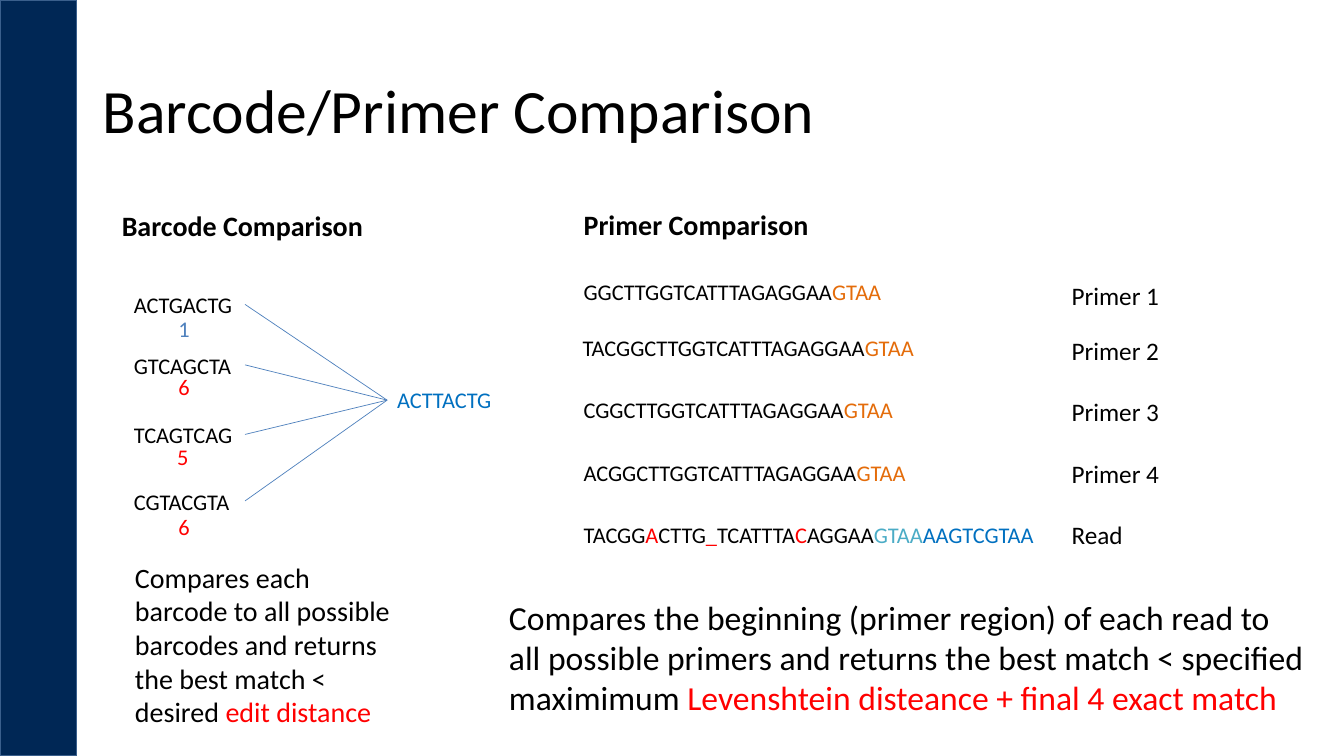
from lxml import etree
from pptx import Presentation
from pptx.dml.color import RGBColor
from pptx.enum import shapes, text
from pptx.oxml.ns import qn
from pptx.util import Inches, Pt

NAVY = RGBColor(0x00, 0x27, 0x55)
EDGE = RGBColor(0x3A, 0x5F, 0x8C)
BLACK = RGBColor(0x00, 0x00, 0x00)
RED = RGBColor(0xFF, 0x00, 0x00)
STEEL = RGBColor(0x4F, 0x81, 0xBD)
BLUE = RGBColor(0x00, 0x70, 0xC0)
ORANGE = RGBColor(0xE4, 0x6C, 0x0A)
TEAL = RGBColor(0x4B, 0xAC, 0xC6)


class Board:
    """Holds the style and the current slide."""
    font = "Calibri"

    def __init__(self, slide):
        self.slide = slide

    def bar(self, left, top, width, height):
        bar = self.slide.shapes.add_shape(
            shapes.MSO_SHAPE.RECTANGLE, Inches(left), Inches(top),
            Inches(width), Inches(height))
        bar.shadow.inherit = False
        bar.fill.solid()
        bar.fill.fore_color.rgb = NAVY
        bar.line.color.rgb = EDGE
        bar.line.width = Pt(1)

    def label(self, left, top, width, height, parts, size=16, bold=False, wrap=True):
        """Add a text box; parts is a list of (words, colour)."""
        box = self.slide.shapes.add_textbox(
            Inches(left), Inches(top), Inches(width), Inches(height))
        frame = box.text_frame
        frame.word_wrap = wrap
        para = frame.paragraphs[0]
        for words, color in parts:
            run = para.add_run()
            run.text = words
            run.font.name = self.font
            run.font.size = Pt(size)
            run.font.bold = bold
            run.font.color.rgb = color
        return frame

    def line(self, x1, y1, x2, y2):
        line = self.slide.shapes.add_connector(
            shapes.MSO_CONNECTOR.STRAIGHT, Inches(x1), Inches(y1),
            Inches(x2), Inches(y2))
        line.line.color.rgb = STEEL
        line.line.width = Pt(0.5)
        etree.SubElement(line._element.spPr, qn("a:effectLst"))


def main():
    deck = Presentation()
    deck.slide_width, deck.slide_height = Inches(13.33), Inches(7.5)
    board = Board(deck.slides.add_slide(deck.slide_layouts[6]))

    # Side bar and title
    board.bar(0, 0, 0.76, 7.5)
    title = board.label(0.92, 0.4, 11.5, 1.45,
                        [("Barcode/Primer Comparison", BLACK)], 44)
    title.vertical_anchor = text.MSO_ANCHOR.MIDDLE
    title.paragraphs[0].line_spacing = 0.9

    # Column headings
    board.label(1.11, 2.02, 2.77, 0.44, [("Barcode Comparison", BLACK)], 20, True)
    board.label(5.69, 2.01, 2.65, 0.44, [("Primer Comparison", BLACK)], 20, True)

    # Barcodes, their edit distances and the lines to the read barcode
    codes = [
        ("ACTGACTG", 2.84, "1", 1.67, 3.08, STEEL),
        ("GTCAGCTA", 3.44, "6", 1.67, 3.65, RED),
        ("TCAGTCAG", 4.13, "5", 1.66, 4.35, RED),
        ("CGTACGTA", 4.79, "6", 1.67, 5.04, RED),
    ]
    for code, top, score, left, below, color in codes:
        board.label(1.23, top, 1.2, 0.37, [(code, BLACK)])
        board.label(left, below, 0.33, 0.37, [(score, color)])
        board.line(2.43, top + 0.18, 3.84, 3.97)
    board.label(3.84, 3.78, 1.27, 0.37, [("ACTTACTG", BLUE)])

    # Primers, each ending in the same four bases
    primers = [
        ("GGCTTGGTCATTTAGAGGAA", 5.69, 2.71, 2.73),
        ("TACGGCTTGGTCATTTAGAGGAA", 5.68, 3.27, 3.28),
        ("CGGCTTGGTCATTTAGAGGAA", 5.69, 3.88, 3.88),
        ("ACGGCTTGGTCATTTAGAGGAA", 5.69, 4.51, 4.5),
    ]
    for num, (start, left, top, side) in enumerate(primers, 1):
        board.label(left, top, 3.85, 0.37, [(start, BLACK), ("GTAA", ORANGE)])
        board.label(10.53, side, 1.43, 0.4, [(f"Primer {num}", BLACK)], 18)

    # Read with its mismatches
    read = [("TACGG", BLACK), ("A", RED), ("CTTG", BLACK), ("_", RED),
            ("TCATTTA", BLACK), ("C", RED), ("AGGAA", BLACK),
            ("GTAA", TEAL), ("AAGTCGTAA", BLUE)]
    board.label(5.69, 5.12, 4.71, 0.37, read, wrap=False)
    board.label(10.53, 5.1, 1.43, 0.4, [("Read", BLACK)], 18)

    # Summaries
    board.label(1.24, 5.51, 2.77, 1.78, [
        ("Compares each barcode to all possible barcodes and returns "
         "the best match < desired ", BLACK),
        ("edit distance", RED)], 20)
    board.label(4.95, 5.87, 8.13, 1.31, [
        ("Compares the beginning (primer region) of each read to all possible "
         "primers and returns the best match < specified maximimum ", BLACK),
        ("Levenshtein disteance + final 4 exact match", RED)], 24)

    deck.save("out.pptx")


if __name__ == "__main__":
    main()
